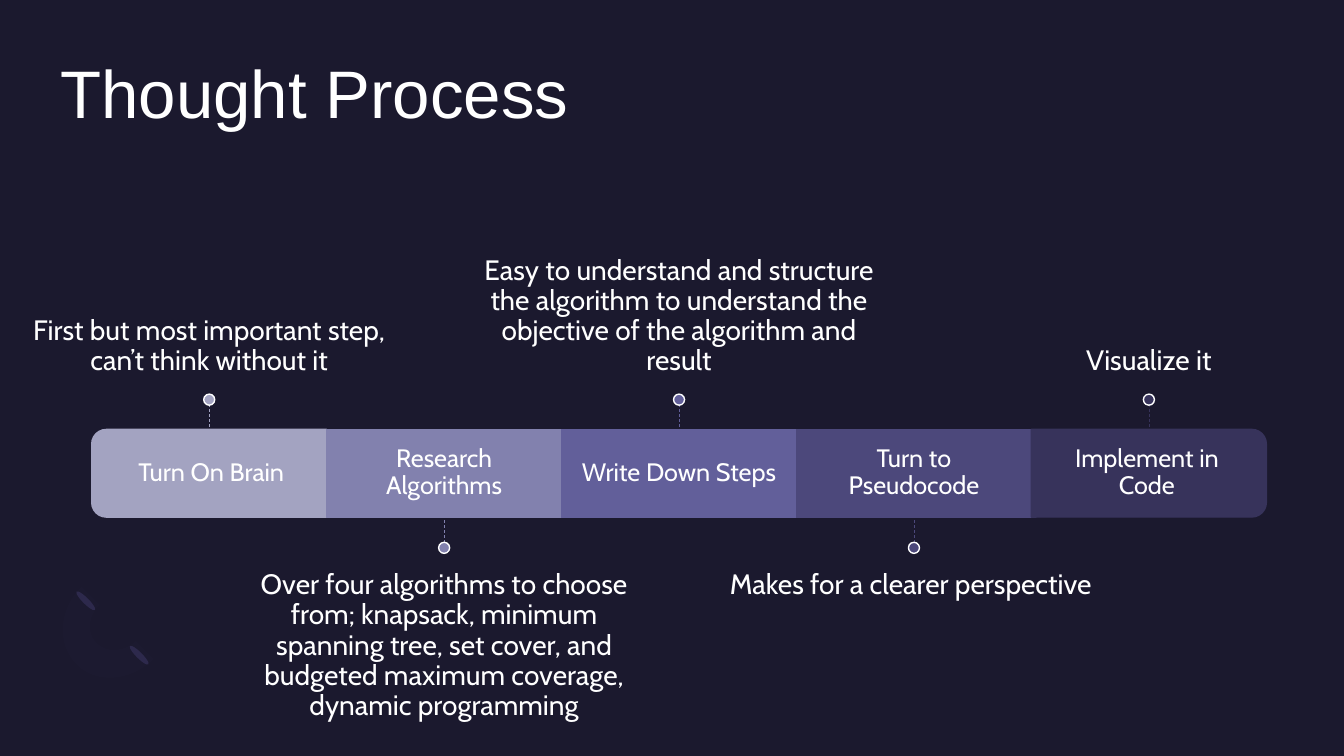
"""Build the Thought Process slide: a five-step bar with a note for each step."""
from lxml import etree
from pptx import Presentation
from pptx.dml.color import RGBColor
from pptx.enum.dml import MSO_LINE
from pptx.enum.shapes import MSO_CONNECTOR, MSO_SHAPE
from pptx.enum.text import MSO_ANCHOR, MSO_AUTO_SIZE, PP_ALIGN
from pptx.oxml.ns import qn
from pptx.util import Inches, Pt

NIGHT = RGBColor(0x1B, 0x19, 0x2E)
WHITE = RGBColor(0xFF, 0xFF, 0xFF)
PETAL = RGBColor(0x2C, 0x28, 0x4A)
LILAC = RGBColor(0x77, 0x71, 0xB2)

TITLE = "Thought Process"
STEPS = [
    ("Turn On Brain", "First but most important step, can’t think without it",
     RGBColor(0xA3, 0xA3, 0xC1)),
    ("Research Algorithms",
     "Over four algorithms to choose from; knapsack, minimum spanning tree, "
     "set cover, and budgeted maximum coverage, dynamic programming",
     RGBColor(0x82, 0x81, 0xAE)),
    ("Write Down Steps",
     "Easy to understand and structure the algorithm to understand the "
     "objective of the algorithm and result",
     RGBColor(0x62, 0x5F, 0x9A)),
    ("Turn to Pseudocode", "Makes for a clearer perspective ",
     RGBColor(0x4C, 0x48, 0x7B)),
    ("Implement in Code", "Visualize it", RGBColor(0x37, 0x33, 0x5B)),
]
PETALS = [(1.35, 6.37), (0.82, 5.83)]
ARC_START = (0.76, 6.59)
ARC = [
    [(0.56, 6.39), (0.58, 6.05), (0.81, 5.82)],
    [(0.99, 6.0)],
    [(0.87, 6.11), (0.86, 6.29), (0.96, 6.38)],
    [(1.06, 6.48), (1.23, 6.47), (1.35, 6.36)],
    [(1.52, 6.54)],
    [(1.3, 6.76), (0.95, 6.79), (0.76, 6.59)],
]

BAR_LEFT, BAR_TOP, BAR_WIDTH, BAR_HEIGHT = 0.91, 4.26, 2.33, 0.87
NOTE_WIDTH, NOTE_HEIGHT = 3.88, 1.85
DOT, STEM, END_INSET = 0.11, 0.42, 0.04


def write(frame, text, size=20, font="Cabin", align=PP_ALIGN.CENTER,
          anchor=MSO_ANCHOR.TOP, insets=(0, 0, 0, 0)):
    """Put one formatted paragraph in a text frame."""
    frame.word_wrap = True
    frame.auto_size = MSO_AUTO_SIZE.NONE
    frame.vertical_anchor = anchor
    (frame.margin_left, frame.margin_top,
     frame.margin_right, frame.margin_bottom) = map(Inches, insets)
    para = frame.paragraphs[0]
    para.alignment = align
    para.line_spacing = 0.9
    span = para.add_run()
    span.text = text
    span.font.size = Pt(size)
    span.font.name = font
    span.font.color.rgb = WHITE


def add_text(page, text, left, top, width, height, **style):
    """Add a text box holding one paragraph."""
    box = page.shapes.add_textbox(*map(Inches, (left, top, width, height)))
    write(box.text_frame, text, **style)


def add_shape(page, kind, left, top, width, height, fill, line=None, rotation=0):
    """Add a flat preset shape."""
    shape = page.shapes.add_shape(kind, *map(Inches, (left, top, width, height)))
    shape.shadow.inherit = False
    shape.rotation = rotation
    shape.fill.solid()
    shape.fill.fore_color.rgb = fill
    if line is None:
        shape.line.fill.background()
    else:
        shape.line.color.rgb = line
        shape.line.width = Pt(1)


def add_stem(page, x, top, color):
    """Add the dashed line between a bar and its dot."""
    stem = page.shapes.add_connector(
        MSO_CONNECTOR.STRAIGHT, *map(Inches, (x, top, x, top + STEM)))
    stem.line.color.rgb = color
    stem.line.width = Pt(0.5)
    stem.line.dash_style = MSO_LINE.DASH
    etree.SubElement(stem._element.spPr, qn("a:effectLst"))


def curve_points(start, controls, count=12):
    """Return points along a cubic curve, or the end of a straight edge."""
    if len(controls) == 1:
        return controls
    points = []
    for index in range(1, count + 1):
        t = index / count
        weights = ((1 - t) ** 3, 3 * t * (1 - t) ** 2, 3 * t * t * (1 - t), t ** 3)
        points.append(tuple(sum(w * p[axis] for w, p in zip(weights, [start, *controls]))
                            for axis in (0, 1)))
    return points


def add_decoration(page):
    """Add the faint ornament in the lower left corner."""
    for left, top in PETALS:
        add_shape(page, MSO_SHAPE.OVAL, left, top, 0.06, 0.26, PETAL, rotation=135)
    points, start = [], ARC_START
    for controls in ARC:
        points += curve_points(start, controls)
        start = controls[-1]
    builder = page.shapes.build_freeform(*map(Inches, ARC_START))
    builder.add_line_segments([(Inches(x), Inches(y)) for x, y in points], close=True)
    arc = builder.convert_to_shape()
    arc.shadow.inherit = False
    arc.line.fill.background()
    arc.fill.solid()
    arc.fill.fore_color.rgb = LILAC
    color = arc._element.spPr.find(qn("a:solidFill"))[0]
    etree.SubElement(color, qn("a:alpha")).set("val", "2000")


def add_step(page, index, label, note, color):
    """Add one bar with its label, stem, dot and note."""
    left = BAR_LEFT + index * BAR_WIDTH
    center, middle = left + BAR_WIDTH / 2, BAR_TOP + BAR_HEIGHT / 2
    first, last = index == 0, index == len(STEPS) - 1
    if first or last:
        add_shape(page, MSO_SHAPE.ROUND_2_SAME_RECTANGLE,
                  center - BAR_HEIGHT / 2, middle - BAR_WIDTH / 2,
                  BAR_HEIGHT, BAR_WIDTH, color, color, rotation=270 if first else 90)
    else:
        add_shape(page, MSO_SHAPE.RECTANGLE, left, BAR_TOP,
                  BAR_WIDTH, BAR_HEIGHT, color, color)
    add_text(page, label, left + END_INSET * first, BAR_TOP,
             BAR_WIDTH - END_INSET * (first or last), BAR_HEIGHT,
             size=18, anchor=MSO_ANCHOR.MIDDLE, insets=(0.15,) * 4)

    if index % 2 == 0:
        note_top, stem_top, dot_top = 2.06, 4.01, 3.91
        style = {"anchor": MSO_ANCHOR.BOTTOM, "insets": (0, 0, 0, 0.17)}
    else:
        note_top, stem_top, dot_top = 5.49, 4.96, 5.38
        style = {"anchor": MSO_ANCHOR.TOP, "insets": (0, 0.17, 0, 0)}
    add_text(page, note, center - NOTE_WIDTH / 2, note_top,
             NOTE_WIDTH, NOTE_HEIGHT, **style)
    add_stem(page, center, stem_top, color)
    add_shape(page, MSO_SHAPE.OVAL, center - DOT / 2, dot_top, DOT, DOT, color, WHITE)


def main():
    """Build and save the deck."""
    deck = Presentation()
    deck.slide_width, deck.slide_height = Inches(13.33), Inches(7.5)
    page = deck.slides.add_slide(deck.slide_layouts[5])
    page.background.fill.solid()
    page.background.fill.fore_color.rgb = NIGHT
    add_decoration(page)
    title = page.shapes.title
    title.left, title.top, title.width, title.height = map(
        Inches, (0.6, 0.6, 12.13, 1.46))
    write(title.text_frame, TITLE, size=48, font="Arial", align=PP_ALIGN.LEFT)
    for index, step in enumerate(STEPS):
        add_step(page, index, *step)
    deck.save("out.pptx")


if __name__ == "__main__":
    main()
